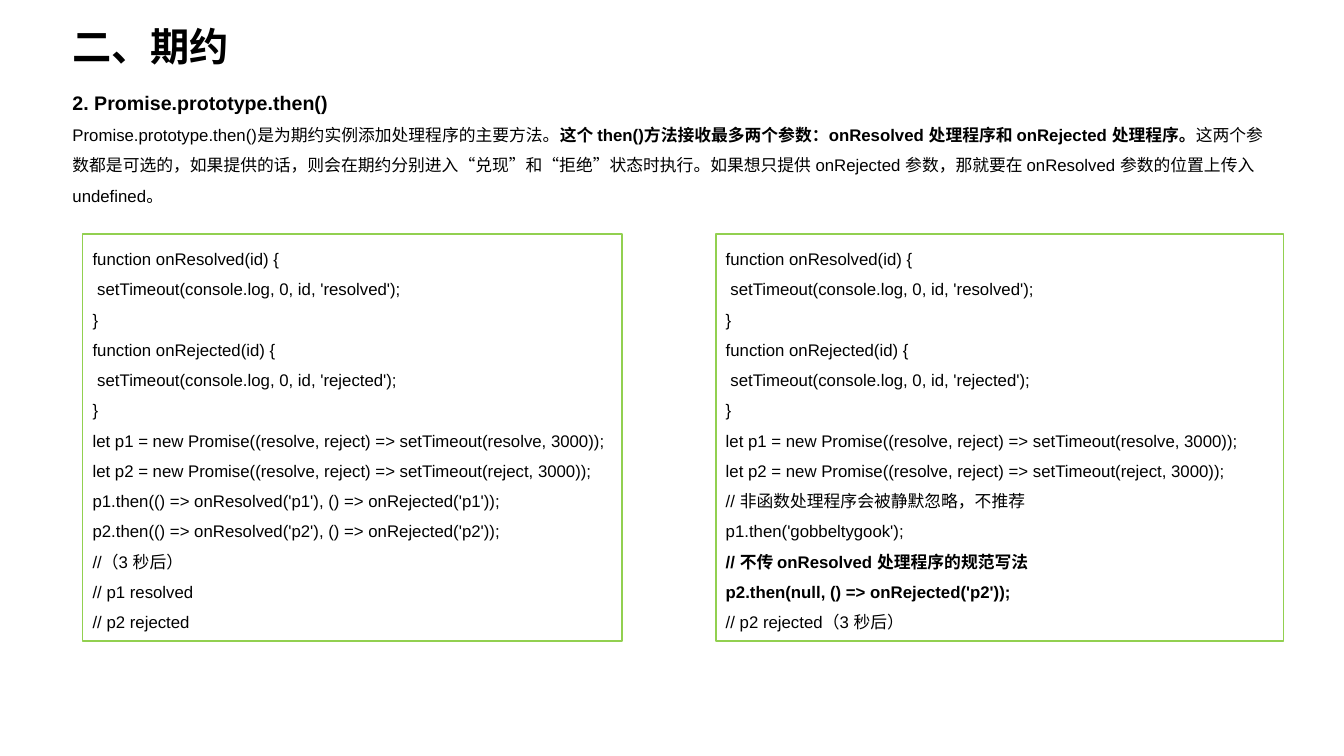
import pptx
import pptx.dml.color
import pptx.enum.lang
import pptx.enum.shapes
import pptx.enum.text
import pptx.util
from dataclasses import dataclass

Inches = pptx.util.Inches


# Content: a paragraph is a list of (text, bold) runs
TITLE = "二、期约"
HEADING = "2. Promise.prototype.then()"
EXPLANATION = [
    ("Promise.prototype.then()是为期约实例添加处理程序的主要方法。", False),
    ("这个 then()方法接收最多两个参数：onResolved 处理程序和 onRejected 处理程序。", True),
    ("这两个参数都是可选的，如果提供的话，则会在期约分别进入“兑现”和“拒绝”状态时执行。"
     "如果想只提供 onRejected 参数，那就要在 onResolved 参数的位置上传入 undefined。", False),
]
SHARED_CODE = [
    ("function onResolved(id) {", False),
    (" setTimeout(console.log, 0, id, 'resolved');", False),
    ("}", False),
    ("function onRejected(id) {", False),
    (" setTimeout(console.log, 0, id, 'rejected');", False),
    ("}", False),
    ("let p1 = new Promise((resolve, reject) => setTimeout(resolve, 3000));", False),
    ("let p2 = new Promise((resolve, reject) => setTimeout(reject, 3000));", False),
]
BOTH_HANDLERS = [
    ("p1.then(() => onResolved('p1'), () => onRejected('p1'));", False),
    ("p2.then(() => onResolved('p2'), () => onRejected('p2'));", False),
    ("//（3 秒后）", False),
    ("// p1 resolved", False),
    ("// p2 rejected", False),
]
REJECTED_ONLY = [
    ("// 非函数处理程序会被静默忽略，不推荐", False),
    ("p1.then('gobbeltygook');", False),
    ("// 不传 onResolved 处理程序的规范写法", True),
    ("p2.then(null, () => onRejected('p2'));", True),
    ("// p2 rejected（3 秒后）", False),
]
# Left edge, width and closing lines of each code panel
CODE_PANELS = [(0.82, 5.35, BOTH_HANDLERS), (7.10, 5.63, REJECTED_ONLY)]
PANEL_TOP, PANEL_HEIGHT = 2.32, 4.04
TEXT_LEFT = 0.62


@dataclass
class Theme:
    font: str = "Arial"
    title_size: int = 28
    heading_size: int = 14
    body_size: int = 12
    line_spacing: float = 1.5
    border_width: float = 1
    ink = pptx.dml.color.RGBColor.from_string("000000")
    paper = pptx.dml.color.RGBColor.from_string("FFFFFF")
    border = pptx.dml.color.RGBColor.from_string("92D050")


theme = Theme()


def write_paragraphs(shape, paragraphs, line_spacing=theme.line_spacing):
    """Fill a shape with (size, runs) paragraphs."""
    frame = shape.text_frame
    frame.word_wrap = True
    frame.vertical_anchor = pptx.enum.text.MSO_ANCHOR.TOP
    for index, (size, runs) in enumerate(paragraphs):
        paragraph = frame.add_paragraph() if index else frame.paragraphs[0]
        paragraph.alignment = pptx.enum.text.PP_ALIGN.LEFT
        paragraph.line_spacing = line_spacing
        for text, bold in runs:
            run = paragraph.add_run()
            run.text = text
            run.font.name = theme.font
            run.font.size = pptx.util.Pt(size)
            run.font.bold = bold
            run.font.color.rgb = theme.ink
            run.font.language_id = pptx.enum.lang.MSO_LANGUAGE_ID.SIMPLIFIED_CHINESE


presentation = pptx.Presentation()
presentation.slide_width = Inches(13.33)
presentation.slide_height = Inches(7.5)
slide = presentation.slides.add_slide(presentation.slide_layouts[6])

# Title
title = slide.shapes.add_textbox(Inches(TEXT_LEFT), Inches(0.17), Inches(6.76), Inches(0.57))
write_paragraphs(title, [(theme.title_size, [(TITLE, True)])], line_spacing=1.0)

# Heading and explanation
explanation = slide.shapes.add_textbox(
    Inches(TEXT_LEFT), Inches(0.74), Inches(12.12), Inches(1.36))
write_paragraphs(explanation, [
    (theme.heading_size, [(HEADING, True)]),
    (theme.body_size, EXPLANATION),
])

# Code panels
for left, width, closing_lines in CODE_PANELS:
    panel = slide.shapes.add_shape(
        pptx.enum.shapes.MSO_SHAPE.RECTANGLE,
        Inches(left), Inches(PANEL_TOP), Inches(width), Inches(PANEL_HEIGHT))
    panel.shadow.inherit = False
    panel.fill.solid()
    panel.fill.fore_color.rgb = theme.paper
    panel.line.color.rgb = theme.border
    panel.line.width = pptx.util.Pt(theme.border_width)
    write_paragraphs(
        panel, [(theme.body_size, [line]) for line in SHARED_CODE + closing_lines])

presentation.save("out.pptx")
